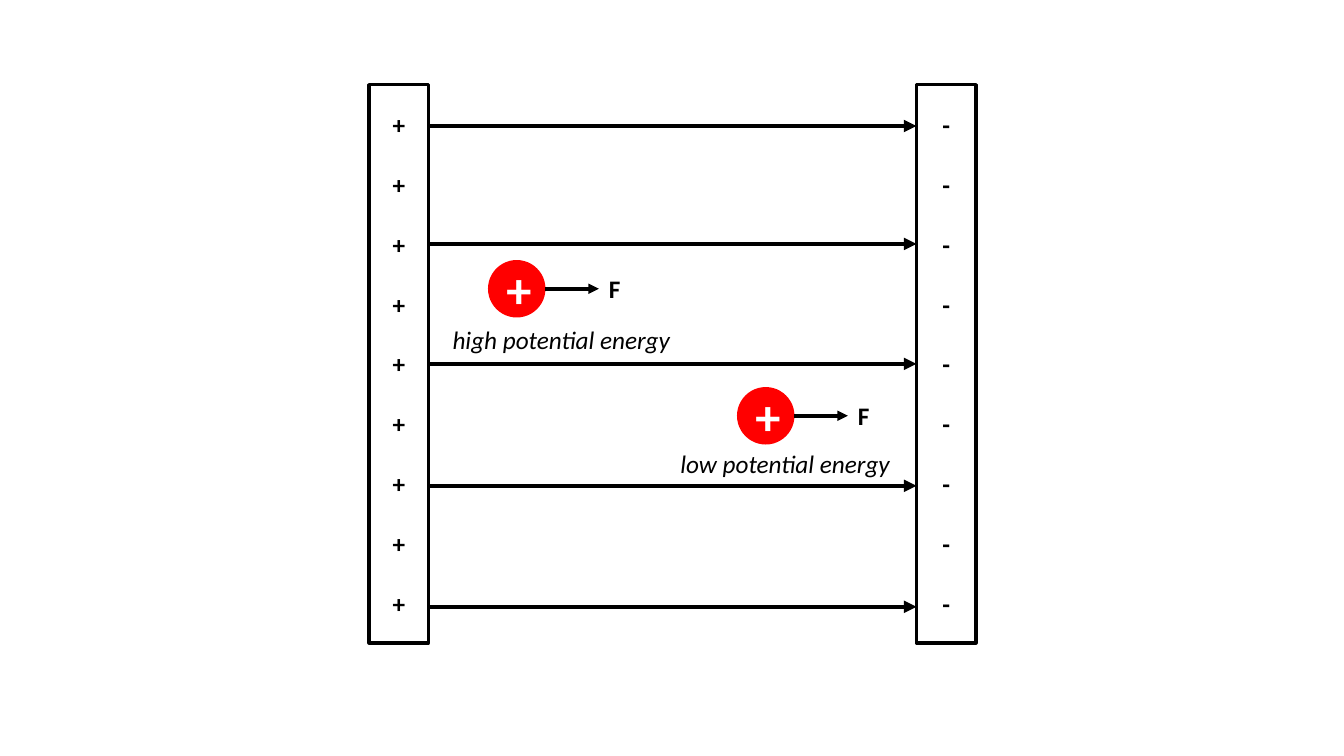
from dataclasses import dataclass

from lxml.etree import SubElement
from pptx import Presentation
from pptx.dml.color import RGBColor
from pptx.enum.shapes import MSO_CONNECTOR, MSO_SHAPE
from pptx.enum.text import MSO_ANCHOR, MSO_AUTO_SIZE, PP_ALIGN
from pptx.oxml.ns import qn
from pptx.util import Inches, Pt


@dataclass(frozen=True)
class Theme:
    font: str = "Calibri"
    black: RGBColor = RGBColor(0, 0, 0)
    white: RGBColor = RGBColor(255, 255, 255)
    red: RGBColor = RGBColor(255, 0, 0)
    body: Pt = Pt(18)
    charge: Pt = Pt(36)
    sign_gap: Pt = Pt(21.2)


theme = Theme()
deck = Presentation()
deck.slide_width, deck.slide_height = Inches(13.33), Inches(7.5)
slide = deck.slides.add_slide(deck.slide_layouts[6])
shapes = slide.shapes


def write(para, text, size=theme.body, color=theme.black, bold=False, italic=False, align=PP_ALIGN.CENTER):
    para.alignment = align
    span = para.add_run()
    span.text = text
    font = span.font
    font.name, font.size, font.bold, font.italic = theme.font, size, bold, italic
    font.color.rgb = color


def add_arrow(left, right, y, width):
    arrow = shapes.add_connector(MSO_CONNECTOR.STRAIGHT, Inches(left), Inches(y), Inches(right), Inches(y))
    arrow.line.color.rgb = theme.black
    arrow.line.width = Pt(width)
    SubElement(arrow.line._get_or_add_ln(), qn("a:tailEnd"), type="triangle")
    SubElement(arrow._element.spPr, qn("a:effectLst"))
    return arrow


# Charged plates
plate_top, plate_width, plate_height = 0.84, 0.59, 5.54
left_plate_x, right_plate_x = 3.66, 9.09
plates = []
for x, sign in ((left_plate_x, "+"), (right_plate_x, "-")):
    plate = shapes.add_shape(
        MSO_SHAPE.RECTANGLE, Inches(x), Inches(plate_top), Inches(plate_width), Inches(plate_height))
    plate.shadow.inherit = False
    plate.fill.background()
    plate.line.color.rgb = theme.black
    plate.line.width = Pt(2.25)
    frame = plate.text_frame
    frame.vertical_anchor = MSO_ANCHOR.MIDDLE
    for row in range(9):
        para = frame.add_paragraph() if row else frame.paragraphs[0]
        if row:
            para.space_before = theme.sign_gap
        write(para, sign, bold=True)
    plates.append(plate)

# Field lines; the third runs between the plates' midpoints
field_lines = [add_arrow(left_plate_x + plate_width, right_plate_x, y, 3)
               for y in (1.25, 2.42, 3.61, 4.82, 6.02)]
field_lines[2].begin_connect(plates[0], 3)
field_lines[2].end_connect(plates[1], 1)

# Charges, each with its force arrow and energy label
diameter, force_length = 0.57, 0.53
charges = (
    (4.84, 2.58, "high potential energy", 4.39, 3.17, 2.38),
    (7.31, 3.84, "low potential energy", 6.65, 4.4, 2.35),
)
for x, y, energy, energy_x, energy_y, energy_width in charges:
    charge = shapes.add_shape(MSO_SHAPE.OVAL, Inches(x), Inches(y), Inches(diameter), Inches(diameter))
    charge.shadow.inherit = False
    charge.fill.solid()
    charge.fill.fore_color.rgb = theme.red
    charge.line.fill.background()
    charge.text_frame.vertical_anchor = MSO_ANCHOR.MIDDLE
    write(charge.text_frame.paragraphs[0], "+", size=theme.charge, color=theme.white, bold=True)

    force_x = x + diameter
    force_y = y + diameter / 2
    force_end = force_x + force_length
    add_arrow(force_x, force_end, force_y, 2.5)

    labels = (
        (energy, energy_x, energy_y, energy_width, {"italic": True}),
        ("F", force_end, force_y - 0.2, 0.32, {"bold": True}),
    )
    for text, label_x, label_y, width, style in labels:
        box = shapes.add_textbox(Inches(label_x), Inches(label_y), Inches(width), Inches(0.4))
        box.text_frame.word_wrap = False
        box.text_frame.auto_size = MSO_AUTO_SIZE.SHAPE_TO_FIT_TEXT
        write(box.text_frame.paragraphs[0], text, align=PP_ALIGN.LEFT, **style)

deck.save("out.pptx")
